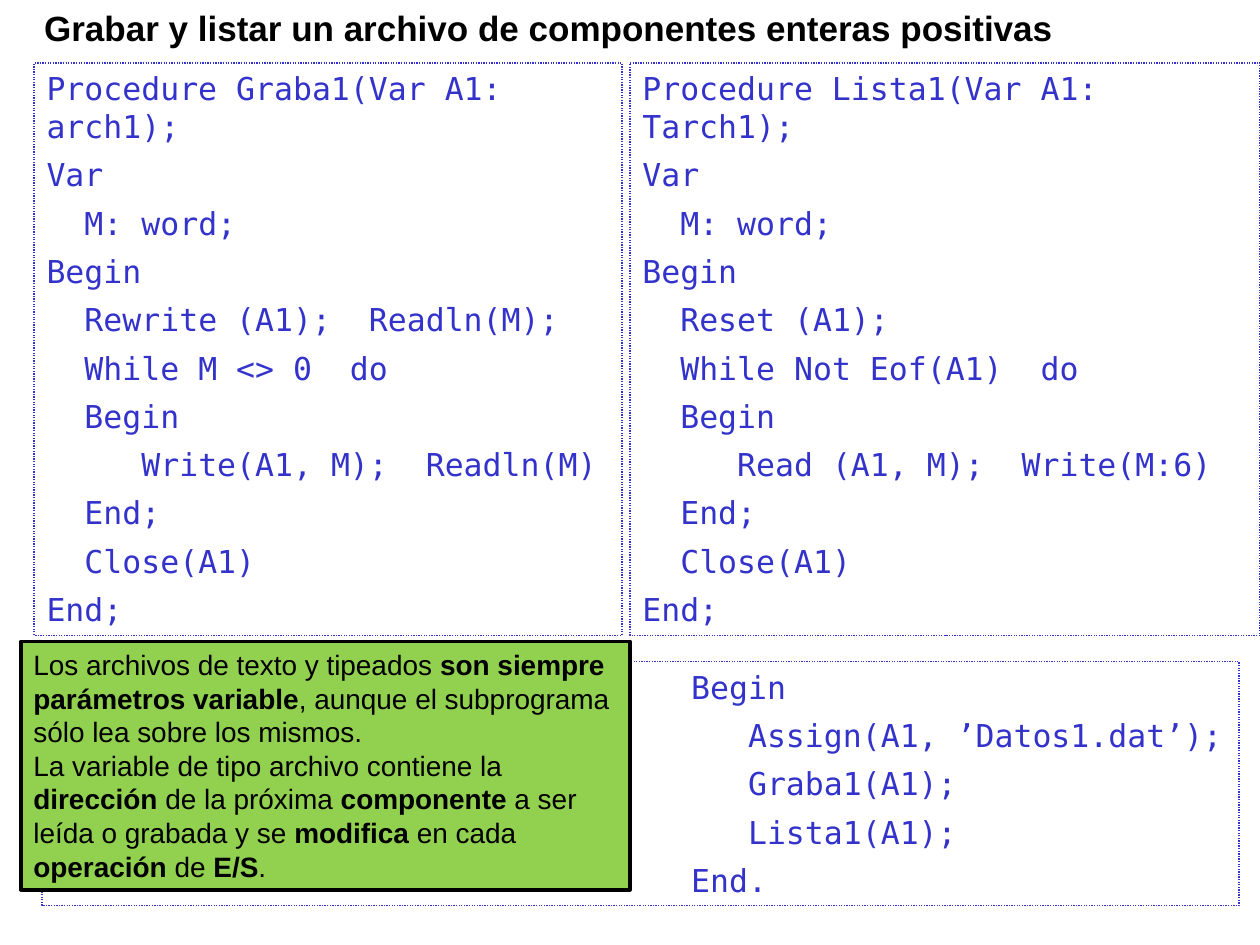
from pptx import Presentation
from pptx.dml.color import RGBColor
from pptx.enum.dml import MSO_LINE
from pptx.enum.shapes import MSO_SHAPE
from pptx.enum.text import MSO_ANCHOR, MSO_AUTO_SIZE, PP_ALIGN
from pptx.util import Pt

BLUE = RGBColor(0x33, 0x33, 0xCC)
GREEN = RGBColor(0x92, 0xD0, 0x50)
BLACK = RGBColor(0, 0, 0)
CHAR = 10.84  # width of one code character at 18 pt


def add_run(para, text, font, size, color, bold=False):
    run = para.add_run()
    run.text = text
    run.font.name = font
    run.font.size = Pt(size)
    run.font.bold = bold
    run.font.color.rgb = color


def set_frame(shape):
    frame = shape.text_frame
    frame.word_wrap = True
    frame.auto_size = MSO_AUTO_SIZE.NONE
    frame.vertical_anchor = MSO_ANCHOR.TOP
    frame.margin_left = frame.margin_right = Pt(7.2)
    frame.margin_top = frame.margin_bottom = Pt(3.6)
    return frame


deck = Presentation()
deck.slide_width, deck.slide_height = Pt(720), Pt(540)
slide = deck.slides.add_slide(deck.slide_layouts[5])

# Title
title = slide.shapes.title
title.left, title.top, title.width, title.height = Pt(18), Pt(0), Pt(702), Pt(31.7)
para = set_frame(title).paragraphs[0]
para.alignment = PP_ALIGN.LEFT
para.space_before = Pt(12.5)
add_run(para, "Grabar y listar un archivo de componentes enteras positivas",
        "Arial", 20, BLACK, True)

# Code boxes: place, left indent of the whole block, lines as (characters in, text)
codes = [
    ((19.5, 36, 336, 327), 0, [
        (0, "Procedure Graba1(Var A1: arch1);"),
        (0, "Var"),
        (2, "M: word;"),
        (0, "Begin"),
        (2, "Rewrite (A1);  Readln(M);"),
        (2, "While M <> 0  do"),
        (2, "Begin"),
        (5, "Write(A1, M);  Readln(M)"),
        (2, "End;"),
        (2, "Close(A1)"),
        (0, "End;")]),
    ((360, 36, 360, 327), 0, [
        (0, "Procedure Lista1(Var A1: Tarch1);"),
        (0, "Var"),
        (2, "M: word;"),
        (0, "Begin"),
        (2, "Reset (A1);"),
        (2, "While Not Eof(A1)  do"),
        (2, "Begin"),
        (5, "Read (A1, M);  Write(M:6)"),
        (2, "End;"),
        (2, "Close(A1)"),
        (0, "End;")]),
    ((24, 378, 684, 139.5), 288, [
        (7, "Begin"),
        (10, "Assign(A1, ’Datos1.dat’);"),
        (10, "Graba1(A1);"),
        (10, "Lista1(A1);"),
        (7, "End.")]),
]
for place, start, lines in codes:
    box = slide.shapes.add_shape(MSO_SHAPE.RECTANGLE, *map(Pt, place))
    box.shadow.inherit = False
    box.fill.background()
    box.line.color.rgb = BLUE
    box.line.width = Pt(0.75)
    box.line.dash_style = MSO_LINE.ROUND_DOT
    frame = set_frame(box)
    for i, (depth, text) in enumerate(lines):
        para = frame.add_paragraph() if i else frame.paragraphs[0]
        para.alignment = PP_ALIGN.LEFT
        para.space_before = Pt(6)
        props = para._p.get_or_add_pPr()
        props.set("marL", str(Pt(start + depth * CHAR)))
        props.set("indent", "0")
        add_run(para, text, "DejaVu Sans Mono", 18, BLUE)

# Green note: plain and bold runs alternate
notes = [
    ["Los archivos de texto y tipeados ", "son siempre parámetros variable",
     ", aunque el subprograma sólo lea sobre los mismos."],
    ["La variable de tipo archivo contiene la ", "dirección", " de la próxima ",
     "componente", " a ser leída o grabada y se ", "modifica", " en cada ",
     "operación", " de ", "E/S", "."],
]
note = slide.shapes.add_shape(MSO_SHAPE.RECTANGLE, Pt(12), Pt(366.5), Pt(348), Pt(142))
note.shadow.inherit = False
note.fill.solid()
note.fill.fore_color.rgb = GREEN
note.line.color.rgb = BLACK
note.line.width = Pt(2)
frame = set_frame(note)
for i, parts in enumerate(notes):
    para = frame.add_paragraph() if i else frame.paragraphs[0]
    para.alignment = PP_ALIGN.LEFT
    for j, text in enumerate(parts):
        add_run(para, text, "Arial", 16, BLACK, j % 2 == 1)

deck.save("out.pptx")
